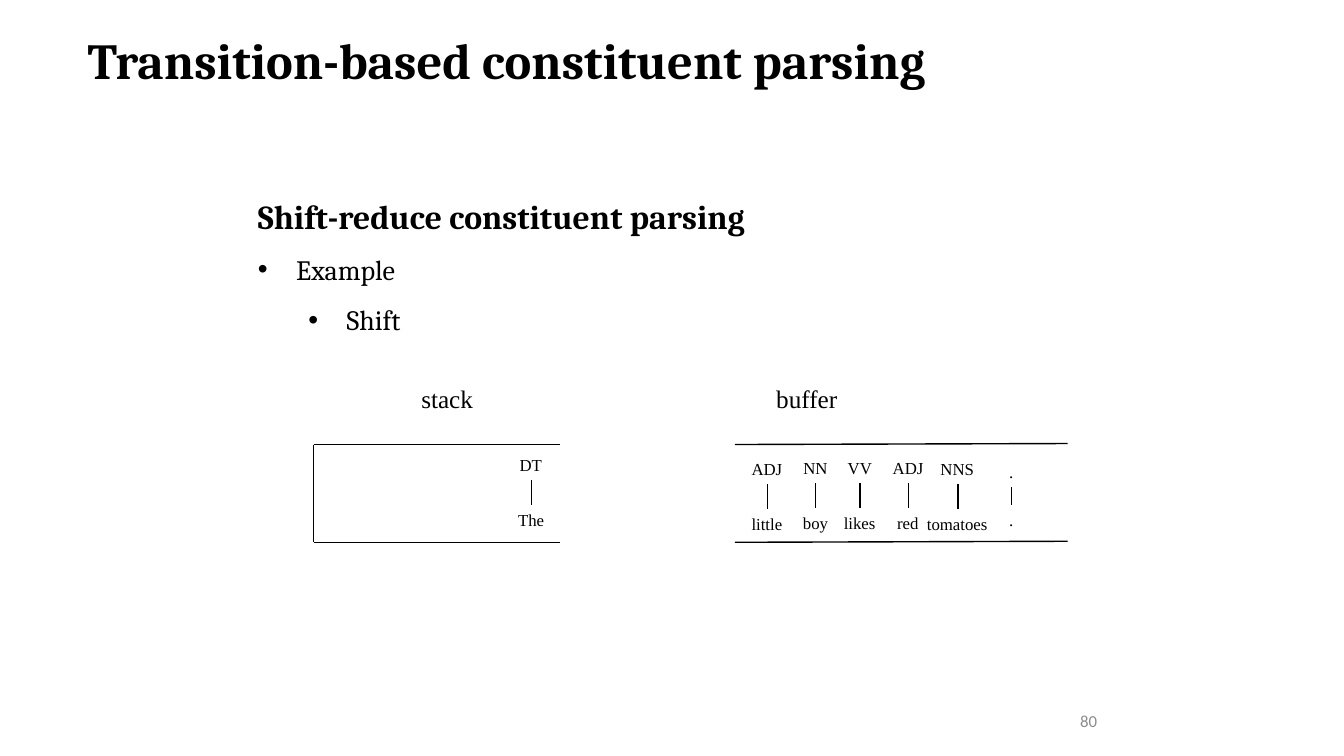
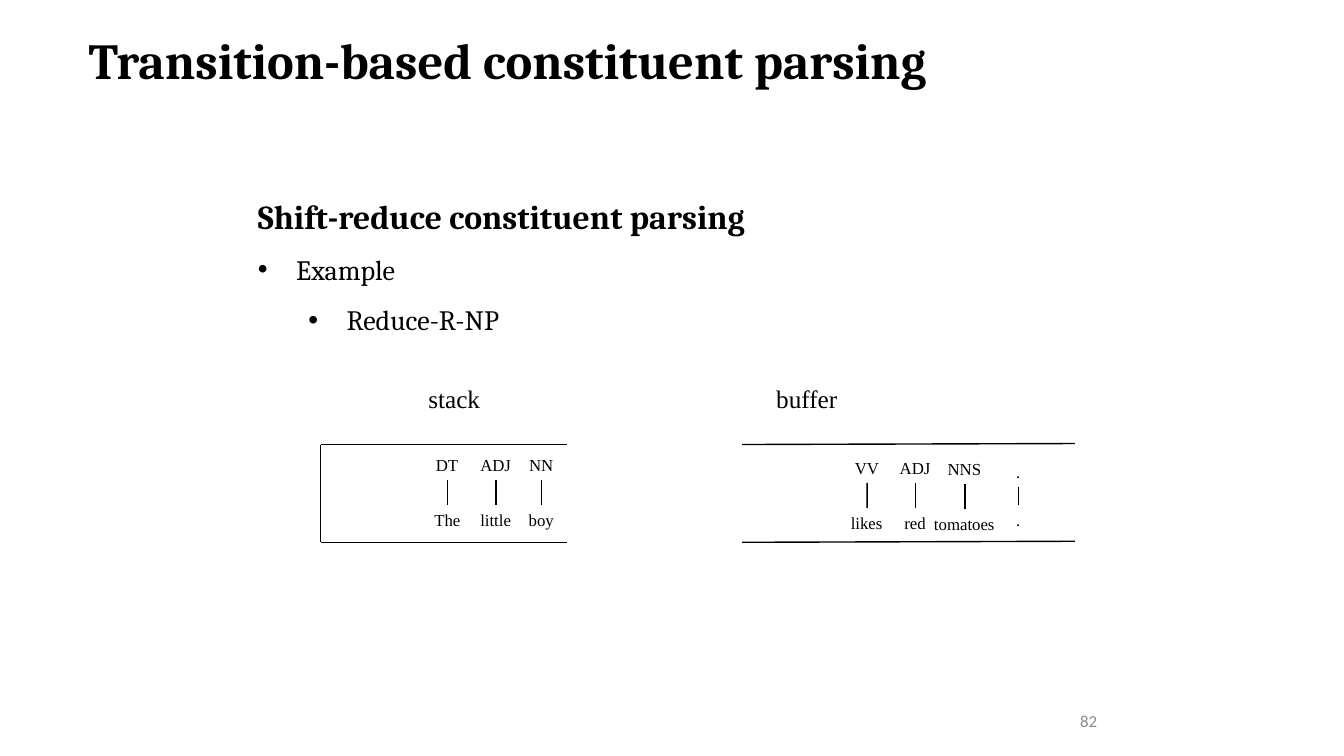
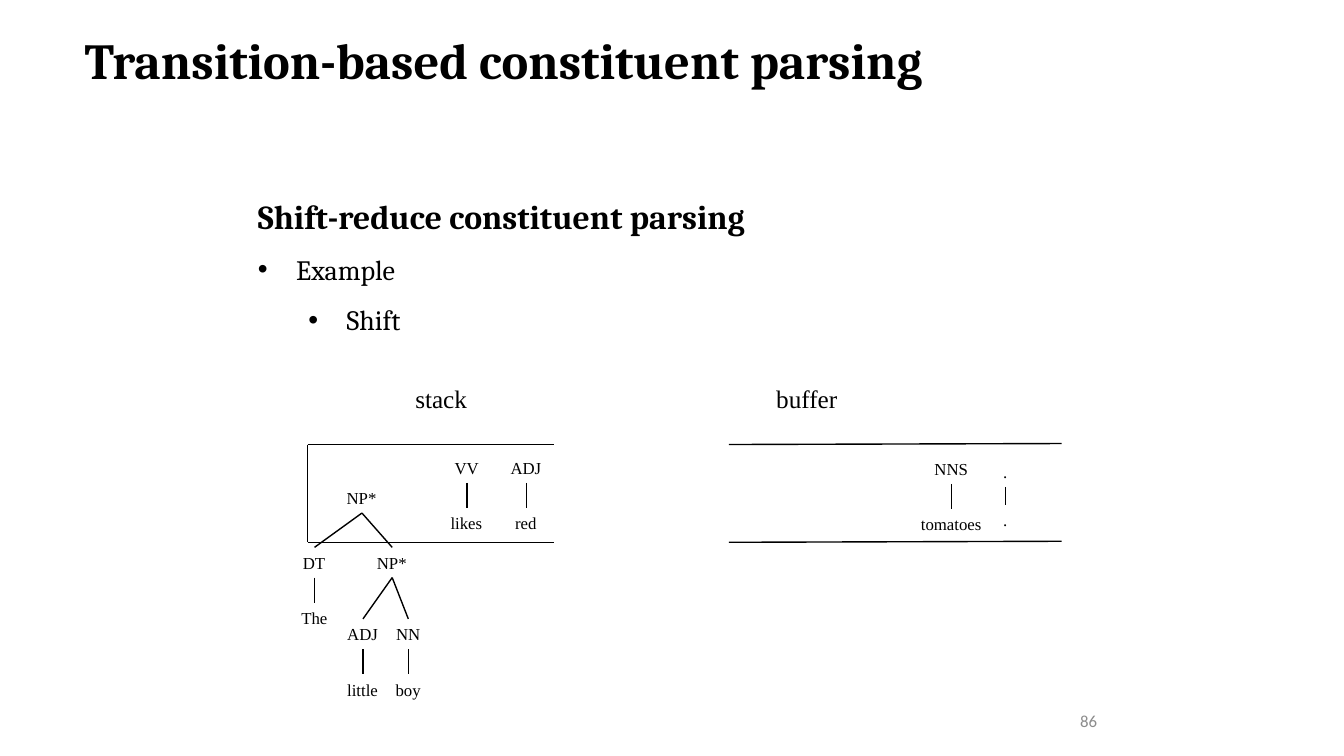
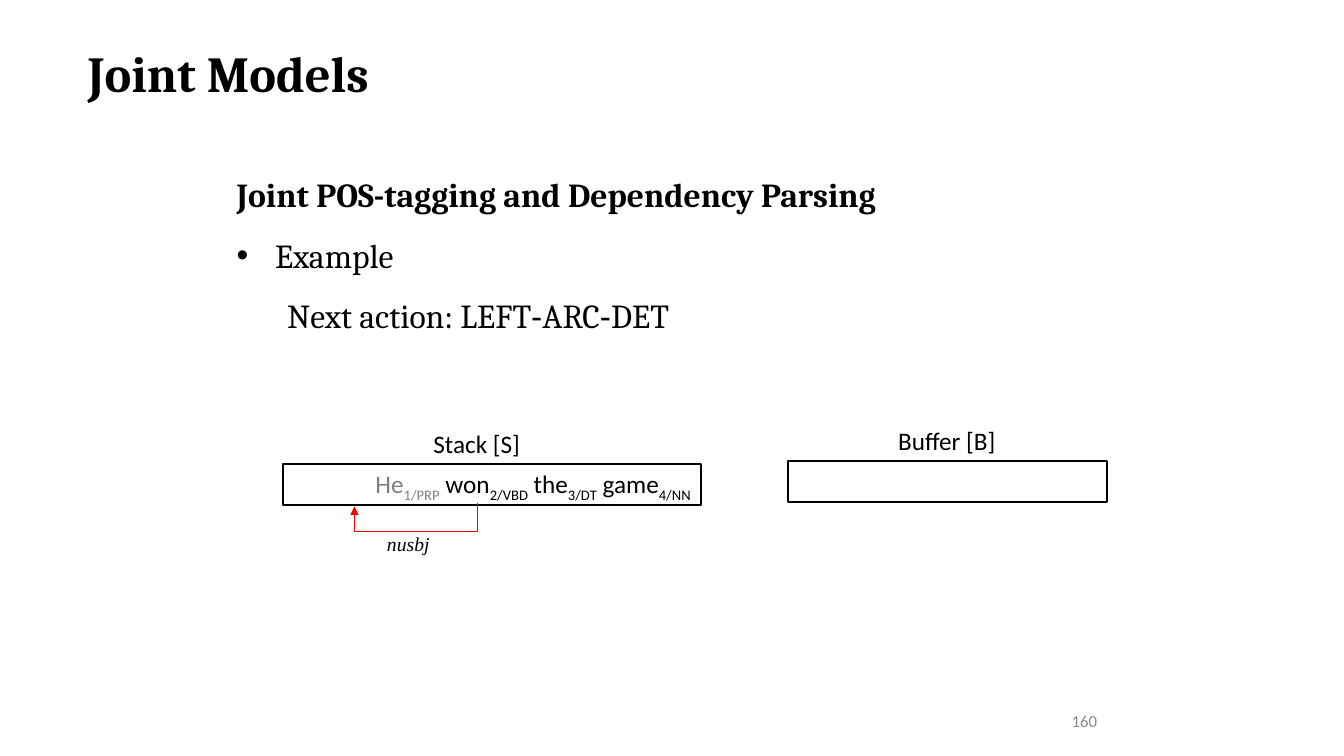
from dataclasses import dataclass

from lxml import etree
from pptx import Presentation, util as u
from pptx.dml.color import RGBColor
from pptx.enum import shapes, text
from pptx.oxml.ns import qn


@dataclass(frozen=True)
class Theme:
    ink: str = "000000"
    gray: str = "808080"
    pale: str = "8C8C8C"
    red: str = "FF0000"
    head: str = "Cambria"
    body: str = "Calibri"
    tree: str = "Times New Roman"
    mark: str = "Arial"
    huge: int = 36
    big: int = 24
    mid: int = 20
    base: int = 18
    note: int = 14
    small: int = 12


T = Theme()

# Box width of each tag and word
WIDTH = {"DT": 0.43, "ADJ": 0.51, "NN": 0.44, "VV": 0.44, "NNS": 0.54,
         "NP*": 0.5, ".": 0.24, "The": 0.46, "little": 0.51, "boy": 0.45,
         "likes": 0.52, "red": 0.42, "tomatoes": 0.81}
TAG = {"The": "DT", "little": "ADJ", "boy": "NN", "likes": "VV",
       "red": "ADJ", "tomatoes": "NNS", ".": "."}
# Place of each waiting word: distance from the stack's left edge, top
QUEUE = {"little": (4.5, 4.5), "boy": (4.98, 4.49), "likes": (5.42, 4.49),
         "red": (5.9, 4.49), "tomatoes": (6.39, 4.5), ".": (6.92, 4.53)}


class Deck:
    def __init__(self):
        self.prs = Presentation()
        self.prs.slide_width = u.Inches(13.33)
        self.prs.slide_height = u.Inches(7.5)
        self.slide = None

    # Text
    def run(self, para, words, size, face, color=T.ink, bold=False,
            slant=False, sub=False):
        run = para.add_run()
        run.text = words
        font = run.font
        font.size, font.name = u.Pt(size), face
        font.bold, font.italic = bold, slant
        font.color.rgb = RGBColor.from_string(color)
        if sub:
            run._r.get_or_add_rPr().set("baseline", "-25000")

    def box(self, at, wrap=True, grow=True):
        box = self.slide.shapes.add_textbox(*map(u.Inches, at))
        frame = box.text_frame
        frame.word_wrap = wrap
        if grow:
            frame.auto_size = text.MSO_AUTO_SIZE.SHAPE_TO_FIT_TEXT
        return box

    def label(self, words, at, size, face, wrap=True, **style):
        box = self.box(at, wrap)
        self.run(box.text_frame.paragraphs[0], words, size, face, **style)
        return box

    def page(self, title, at, number):
        self.slide = self.prs.slides.add_slide(self.prs.slide_layouts[6])
        self.label(title, at, T.huge, T.head, bold=True)
        foot = self.box((8.73, 6.95, 2.25, 0.4), grow=False).text_frame
        foot.vertical_anchor = text.MSO_ANCHOR.MIDDLE
        foot.paragraphs[0].alignment = text.PP_ALIGN.RIGHT
        self.run(foot.paragraphs[0], str(number), T.small, T.body, T.pale)

    def point(self, frame, parts, size, level=0, left=0.0, dot=False, bold=False):
        para = frame.paragraphs[0]
        if para.runs:
            para = frame.add_paragraph()
        para.level, para.line_spacing = level, 1.5
        props = para._p.get_or_add_pPr()
        props.set("marL", str(u.Inches(left)))
        props.set("indent", str(u.Inches(-0.38 if dot else 0)))
        if dot:
            etree.SubElement(props, qn("a:buFont")).set("typeface", T.mark)
            etree.SubElement(props, qn("a:buChar")).set("char", "•")
        for part in parts:
            self.run(para, part, size, T.mark if part == "-" else T.head, bold=bold)

    # Lines and shapes
    def line(self, start, end, kind=shapes.MSO_CONNECTOR.STRAIGHT,
             color=T.ink, width=1):
        line = self.slide.shapes.add_connector(
            kind, *map(u.Inches, (*start, *end)))
        line.line.color.rgb = RGBColor.from_string(color)
        line.line.width = u.Pt(width)
        etree.SubElement(line._element.spPr, qn("a:effectLst"))
        return line

    def link(self, top, low):
        line = self.line((0, 0), (1, 1))
        line.begin_connect(top, 2)
        line.end_connect(low, 0)

    def arc(self, at, size, bend):
        """Elbow turned by a quarter, with its arrowhead at the start."""
        (x, y), (w, h) = at, size
        line = self.line((x, y), (x + w, y + h), shapes.MSO_CONNECTOR.ELBOW,
                         T.red, 0.5)
        props = line._element.spPr
        for key, val in (("rot", "5400000"), ("flipH", "1"), ("flipV", "1")):
            props.find(qn("a:xfrm")).set(key, val)
        guide = etree.SubElement(props.find(qn("a:prstGeom")).find(qn("a:avLst")),
                                 qn("a:gd"))
        guide.set("name", "adj1")
        guide.set("fmla", f"val {round(bend * 100000)}")
        etree.SubElement(props.find(qn("a:ln")), qn("a:headEnd")).set("type", "triangle")

    def rect(self, at):
        rect = self.slide.shapes.add_shape(
            shapes.MSO_SHAPE.RECTANGLE, *map(u.Inches, at))
        rect.shadow.inherit = False
        rect.fill.background()
        rect.line.color.rgb = RGBColor.from_string(T.ink)
        rect.line.width = u.Pt(1.5)
        rect.text_frame.vertical_anchor = text.MSO_ANCHOR.TOP
        return rect

    # Trees
    def node(self, word, x, y, kids=()):
        wide = WIDTH[word]
        box = self.label(word, (x - wide / 2, y, wide, 0.3), T.small, T.tree,
                         wrap=False)
        for kid in kids:
            self.link(box, kid)
        return box

    def leaf(self, word, x, y):
        drop = 0.48 if word == "." else 0.55
        return self.node(TAG[word], x, y, [self.node(word, x, y + drop)])

    # Stack and buffer of one parsing step
    def step(self, title, number, action, left, queue):
        self.page("Transition-based constituent parsing", title, number)
        frame = self.box((2.46, 1.69, 7.71, 1.67)).text_frame
        self.point(frame, ["Shift-reduce constituent parsing"], T.big, bold=True)
        self.point(frame, ["Example"], T.mid, left=0.38, dot=True)
        self.point(frame, [action], T.mid, level=1, left=0.88, dot=True)
        self.label("stack", (left + 0.97, 3.75, 0.72, 0.4), T.base, T.tree, wrap=False)
        self.label("buffer", (7.6, 3.75, 0.81, 0.4), T.base, T.tree, wrap=False)
        self.line((left, 4.41), (left, 5.38))
        for y in (4.41, 5.38):
            self.line((left, y), (left + 2.44, y))
            self.line((left + 4.18, y), (left + 7.48, y - 0.01))
        for word in queue:
            x, y = QUEUE[word]
            self.leaf(word, left + x, y)


def main():
    deck = Deck()
    words = list(QUEUE)

    # First shift
    deck.step((0.77, 0.24, 8.73, 0.71), 80, "Shift", 3.11, words)
    deck.leaf("The", 5.27, 4.46)

    # Reduce
    deck.step((0.78, 0.24, 8.71, 0.71), 82, "Reduce-R-NP", 3.18, words[2:])
    for word, x in (("The", 4.44), ("little", 4.92), ("boy", 5.37)):
        deck.leaf(word, x, 4.46)

    # Later shift, with a noun phrase on the stack
    deck.step((0.74, 0.24, 8.82, 0.71), 86, "Shift", 3.05, words[4:])
    deck.leaf("likes", 4.63, 4.49)
    deck.leaf("red", 5.22, 4.49)
    pair = [deck.leaf("little", 3.6, 6.14), deck.leaf("boy", 4.05, 6.14)]
    inner = deck.node("NP*", 3.89, 5.43, pair)
    deck.node("NP*", 3.59, 4.79, [deck.leaf("The", 3.12, 5.43), inner])

    # Joint models
    deck.page("Joint Models", (0.77, 0.37, 7.86, 0.71), 160)
    frame = deck.box((2.25, 1.48, 8.84, 1.86)).text_frame
    deck.point(frame, ["Joint POS-tagging and Dependency Parsing"], T.big, bold=True)
    deck.point(frame, ["Example"], T.big, left=0.38, dot=True)
    deck.point(frame, ["Next action: LEFT", "-", "ARC", "-", "DET"], T.big,
               level=1, left=0.5)

    stack = deck.rect((2.81, 4.6, 4.14, 0.41))
    para = stack.text_frame.paragraphs[0]
    para.alignment = text.PP_ALIGN.RIGHT
    for word, tag, color in (("He", "1/PRP", T.gray), (" won", "2/VBD", T.ink),
                             (" the", "3/DT", T.ink), (" game", "4/NN", T.ink)):
        deck.run(para, word, T.base, T.body, color)
        deck.run(para, tag, T.base, T.body, color, sub=True)
    deck.rect((7.82, 4.57, 3.16, 0.41))
    deck.arc((4.11, 4.4), (0.03, 1.22), -8.34)
    deck.label("nusbj", (3.74, 5.23, 0.77, 0.34), T.note, T.tree, slant=True)
    deck.label("Stack [S]", (4.2, 4.2, 1.17, 0.4), T.base, T.body)
    deck.label("Buffer [B]", (8.81, 4.17, 1.5, 0.4), T.base, T.body)

    deck.prs.save("out.pptx")


if __name__ == "__main__":
    main()
